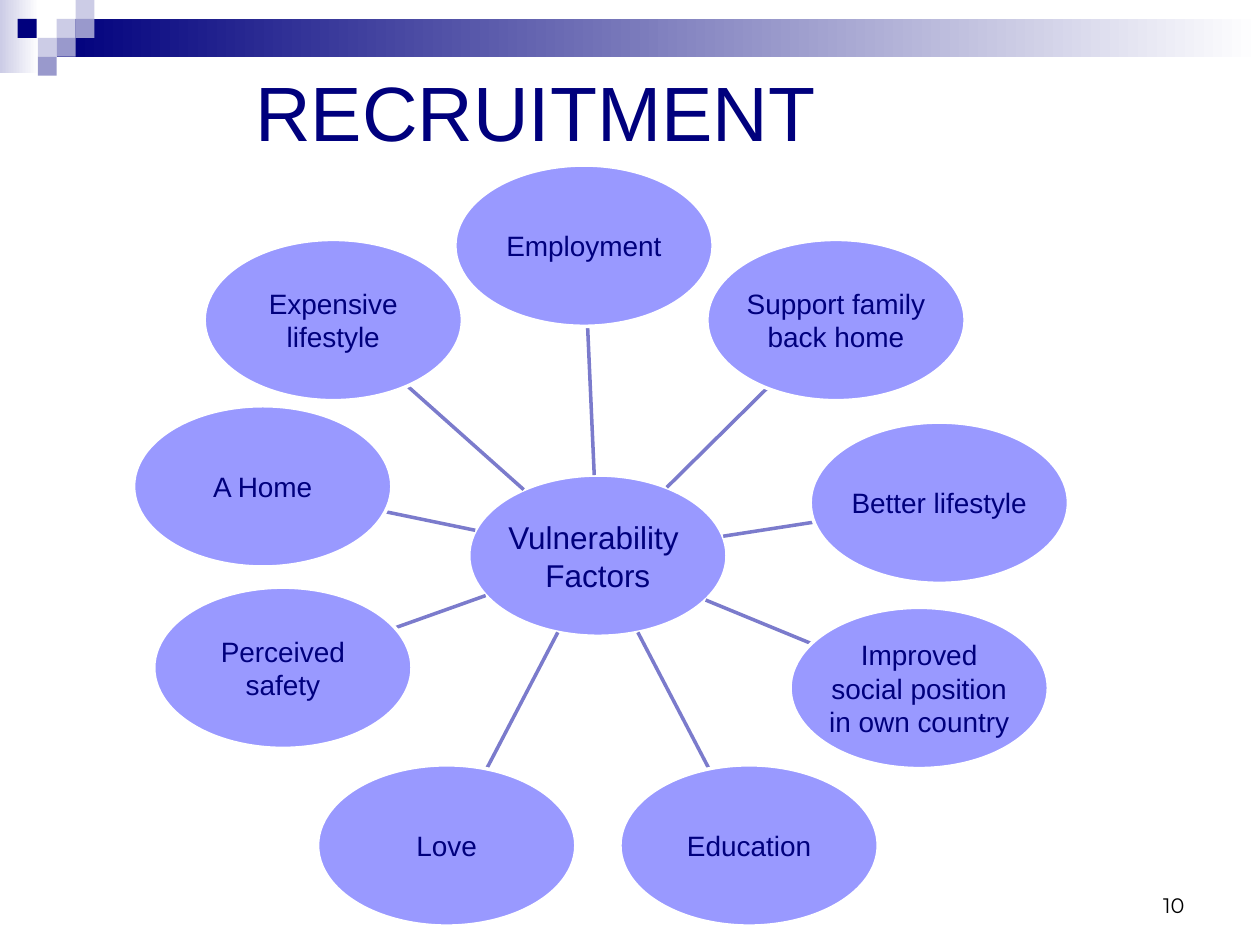
from math import hypot

from lxml.etree import SubElement
from pptx import Presentation
from pptx.dml.color import RGBColor
from pptx.enum.shapes import MSO_CONNECTOR, MSO_SHAPE
from pptx.enum.text import MSO_ANCHOR, PP_ALIGN
from pptx.oxml.ns import qn
from pptx.util import Inches, Pt

NAVY = RGBColor(0x00, 0x00, 0x7D)
LAVENDER = RGBColor(0xCC, 0xCC, 0xE6)
MID_BLUE = RGBColor(0x99, 0x99, 0xCC)
OVAL_BLUE = RGBColor(0x99, 0x99, 0xFF)
SPOKE_BLUE = RGBColor(0x7B, 0x7B, 0xCC)
WHITE = RGBColor(0xFF, 0xFF, 0xFF)
BLACK = RGBColor(0x00, 0x00, 0x00)

OVAL_WIDTH, OVAL_HEIGHT = 2.05, 1.28
HUB = (3.72, 3.77)
FACTORS = [
    ("Employment", 3.61, 1.31),
    ("Support family back home", 5.61, 1.9),
    ("Better lifestyle", 6.43, 3.35),
    ("Improved social position in own country", 6.27, 4.82),
    ("Education", 4.92, 6.07),
    ("Love", 2.52, 6.07),
    ("Perceived safety", 1.22, 4.66),
    ("A Home", 1.06, 3.22),
    ("Expensive lifestyle", 1.62, 1.9),
]
TILE = 0.15
TILES = [
    (0.45, 0.15, LAVENDER),
    (0.6, 0, LAVENDER),
    (0.6, 0.15, MID_BLUE),
    (0.3, 0.3, LAVENDER),
    (0.14, 0.15, NAVY),
    (0.45, 0.3, MID_BLUE),
    (0.3, 0.45, MID_BLUE),
]


def add_plain_shape(page, kind, left, top, width, height):
    shape = page.shapes.add_shape(
        kind, Inches(left), Inches(top), Inches(width), Inches(height))
    shape.shadow.inherit = False
    return shape


def add_fading_bar(page, left, top, width, height, start):
    bar = add_plain_shape(page, MSO_SHAPE.RECTANGLE, left, top, width, height)
    bar.line.fill.background()
    bar.fill.gradient()
    bar.fill.gradient_angle = 0
    for stop, color, position in zip(bar.fill.gradient_stops, (start, WHITE), (0, 1)):
        stop.color.rgb = color
        stop.position = position


def add_banner(page):
    add_fading_bar(page, 0, 0, 0.31, 0.58, LAVENDER)
    add_fading_bar(page, 0.45, 0.15, 9.55, 0.3, NAVY)
    for left, top, color in TILES:
        tile = add_plain_shape(page, MSO_SHAPE.RECTANGLE, left, top, TILE, TILE)
        tile.line.fill.background()
        tile.fill.solid()
        tile.fill.fore_color.rgb = color


def style_paragraph(para, size, color, alignment, font="Arial"):
    para.alignment = alignment
    para.font.size = Pt(size)
    para.font.name = font
    para.font.color.rgb = color


def set_title(page, text, left, top, width, height):
    title = page.shapes.title
    title.left, title.top = Inches(left), Inches(top)
    title.width, title.height = Inches(width), Inches(height)
    frame = title.text_frame
    frame.text = text
    frame.vertical_anchor = MSO_ANCHOR.MIDDLE
    style_paragraph(frame.paragraphs[0], 44, NAVY, PP_ALIGN.CENTER)


def add_oval(page, text, left, top, size):
    oval = add_plain_shape(
        page, MSO_SHAPE.OVAL, left, top, OVAL_WIDTH, OVAL_HEIGHT)
    oval.fill.solid()
    oval.fill.fore_color.rgb = OVAL_BLUE
    oval.line.color.rgb = WHITE
    oval.line.width = Pt(2)
    frame = oval.text_frame
    frame.word_wrap = True
    frame.vertical_anchor = MSO_ANCHOR.MIDDLE
    frame.margin_left = frame.margin_right = Inches(0.01)
    frame.margin_top = frame.margin_bottom = Inches(0.01)
    frame.text = text
    for para in frame.paragraphs:
        style_paragraph(para, size, NAVY, PP_ALIGN.CENTER)


def add_spoke(page, left, top):
    hub_x, hub_y = HUB[0] + OVAL_WIDTH / 2, HUB[1] + OVAL_HEIGHT / 2
    dx, dy = left - HUB[0], top - HUB[1]
    edge = 0.5 / hypot(dx / OVAL_WIDTH, dy / OVAL_HEIGHT)
    ends = [Inches(value) for share in (edge, 1 - edge)
            for value in (hub_x + dx * share, hub_y + dy * share)]
    spoke = page.shapes.add_connector(MSO_CONNECTOR.STRAIGHT, *ends)
    spoke.line.color.rgb = SPOKE_BLUE
    spoke.line.width = Pt(2)
    SubElement(spoke.element.spPr, qn("a:effectLst"))


def add_factor_wheel(page):
    add_oval(page, "Vulnerability \nFactors", *HUB, 18)
    for text, left, top in FACTORS:
        add_spoke(page, left, top)
        add_oval(page, text, left, top, 16)


def add_page_number(page, number, left, top, width, height):
    box = page.shapes.add_textbox(
        Inches(left), Inches(top), Inches(width), Inches(height))
    frame = box.text_frame
    frame.word_wrap = True
    frame.vertical_anchor = MSO_ANCHOR.BOTTOM
    frame.text = number
    style_paragraph(frame.paragraphs[0], 12, BLACK, PP_ALIGN.RIGHT, "Montserrat")


def main():
    deck = Presentation()
    deck.slide_width, deck.slide_height = Inches(10), Inches(7.5)
    page = deck.slides.add_slide(deck.slide_layouts[5])
    add_banner(page)
    set_title(page, "RECRUITMENT", 0.59, 0.44, 7.32, 0.87)
    add_factor_wheel(page)
    add_page_number(page, "10", 7.17, 6.83, 2.33, 0.5)
    deck.save("out.pptx")


if __name__ == "__main__":
    main()
